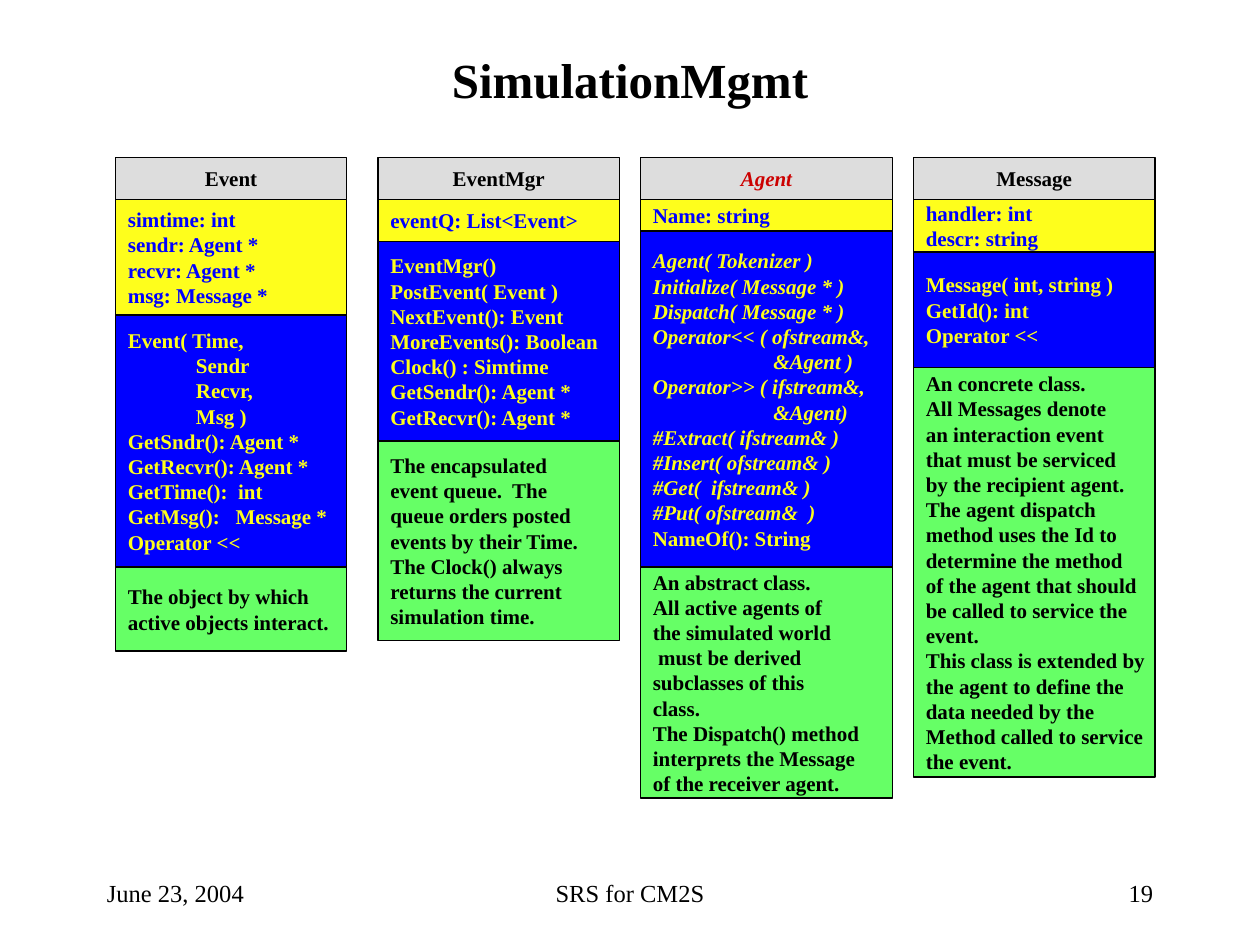
from copy import deepcopy
from dataclasses import dataclass

from pptx import Presentation
from pptx.dml.color import RGBColor as Rgb
from pptx.enum.shapes import MSO_SHAPE as Kind
from pptx.enum.text import MSO_ANCHOR as Anchor, PP_ALIGN as Align
from pptx.oxml.ns import qn
from pptx.util import Cm, Pt


@dataclass(frozen=True)
class Theme:
    font: str = "Times New Roman"
    black: str = "000000"
    grey: str = "DDDDDD"
    yellow: str = "FEFE1C"
    blue: str = "0000FF"
    green: str = "66FF66"
    red: str = "CC0000"
    title: int = 28
    body: int = 12
    foot: int = 14
    line: float = 0.75


@dataclass(frozen=True)
class Part:
    """One band of a class; the first `slant` paragraphs are italic."""
    height: int
    text: tuple[str, ...]
    slant: int = 0


@dataclass(frozen=True)
class Card:
    left: int
    width: int
    name: str
    data: Part
    calls: Part
    note: Part
    abstract: bool = False


THEME = Theme()
TOP, HEAD = 15, 4  # grid units

CARDS = (
    Card(
        11, 22, "Event",
        Part(11, ("simtime: int", "sendr: Agent *", "recvr: Agent *", "msg: Message *")),
        Part(24, (
            "Event( Time, \n             Sendr\n             Recvr,\n             Msg )",
            "GetSndr(): Agent *", "GetRecvr(): Agent *", "GetTime():  int",
            "GetMsg():   Message *", "Operator <<")),
        Part(8, ("The object by which\nactive objects interact.",)),
    ),
    Card(
        36, 23, "EventMgr",
        Part(4, ("eventQ: List<Event>",)),
        Part(19, (
            "EventMgr()", "PostEvent( Event )", "NextEvent(): Event",
            "MoreEvents(): Boolean", "Clock() : Simtime",
            "GetSendr(): Agent *", "GetRecvr(): Agent *")),
        Part(19, (
            "The encapsulated\nevent queue.  The\nqueue orders posted\nevents by their Time.",
            "The Clock() always\nreturns the current\nsimulation time.")),
    ),
    Card(
        61, 24, "Agent",
        Part(3, ("Name: string",)),
        Part(32, (
            "Agent( Tokenizer )\nInitialize( Message * )", "Dispatch( Message * )",
            "Operator<< ( ofstream&,\n                       &Agent )",
            "Operator>> ( ifstream&,\n                       &Agent)",
            "#Extract( ifstream& )\n#Insert( ofstream& )", "#Get(  ifstream& )",
            "#Put( ofstream&  )", "NameOf(): String"), slant=7),
        Part(22, (
            "An abstract class.",
            "All active agents of\nthe simulated world\n must be derived\n"
            "subclasses of this\nclass.\nThe Dispatch() method\n"
            "interprets the Message\nof the receiver agent.")),
        abstract=True,
    ),
    Card(
        87, 23, "Message",
        Part(5, ("handler: int", "descr: string")),
        Part(11, ("Message( int, string )", "GetId(): int", "Operator <<")),
        Part(39, (
            "An concrete class.",
            "All Messages denote\nan interaction event\nthat must be serviced\n"
            "by the recipient agent.\nThe agent dispatch\nmethod uses the Id to\n"
            "determine the method\nof the agent that should\nbe called to service the\n"
            "event.\nThis class is extended by\nthe agent to define the\n"
            "data needed by the",
            "Method called to service\nthe event.")),
    ),
)


def grid(*units: int) -> list[Cm]:
    """Lengths on a grid of twelve units to 2.54 cm."""
    return [Cm(n * 2.54 / 12) for n in units]


def write(shape, text: tuple[str, ...], *, size: int = THEME.body,
          color: str = THEME.black, bold: bool = True, slant: int = 0,
          align: Align = Align.LEFT, wrap: bool = False) -> None:
    frame = shape.text_frame
    frame.word_wrap = wrap
    frame.vertical_anchor = Anchor.MIDDLE
    for i, words in enumerate(text):
        para = frame.paragraphs[0] if i == 0 else frame.add_paragraph()
        para.text = words
        para.alignment = align
        for run in para.runs:
            font = run.font
            font.name, font.size, font.bold = THEME.font, Pt(size), bold
            font.italic = i < slant
            font.color.rgb = Rgb.from_string(color)
        # Line breaks take the format of the text around them
        for gap in para._p.findall(qn("a:br")):
            gap.insert(0, deepcopy(para.runs[0]._r.find(qn("a:rPr"))))


def label(slide, place: tuple[int, ...], text: str, **style) -> None:
    box = slide.shapes.add_textbox(*grid(*place))
    write(box, (text,), wrap=True, **style)


def band(slide, place: tuple[int, ...], fill: str, part: Part, **style) -> None:
    box = slide.shapes.add_shape(Kind.RECTANGLE, *grid(*place))
    box.shadow.inherit = False
    box.fill.solid()
    box.fill.fore_color.rgb = Rgb.from_string(fill)
    box.line.color.rgb = Rgb.from_string(THEME.black)
    box.line.width = Pt(THEME.line)
    write(box, part.text, slant=part.slant, **style)


def draw(slide, card: Card) -> None:
    head = Part(HEAD, (card.name,), slant=int(card.abstract))
    tint = THEME.red if card.abstract else THEME.black
    rows = (
        (head, THEME.grey, tint, Align.CENTER),
        (card.data, THEME.yellow, THEME.blue, Align.LEFT),
        (card.calls, THEME.blue, THEME.yellow, Align.LEFT),
        (card.note, THEME.green, THEME.black, Align.LEFT),
    )
    top = TOP
    for part, fill, color, align in rows:
        place = (card.left, top, card.width, part.height)
        band(slide, place, fill, part, color=color, align=align)
        top += part.height


def main() -> None:
    deck = Presentation()
    deck.slide_width, deck.slide_height = Cm(25.4), Cm(19.05)
    slide = deck.slides.add_slide(deck.slide_layouts[6])

    # Title
    label(slide, (9, 4, 102, 7), "SimulationMgmt", size=THEME.title, align=Align.CENTER)

    # Classes
    for card in CARDS:
        draw(slide, card)

    # Footer
    for left, width, text, align in (
        (9, 25, "June 23, 2004", Align.LEFT),
        (41, 38, "SRS for CM2S", Align.CENTER),
        (86, 25, "19", Align.RIGHT),
    ):
        label(slide, (left, 82, width, 6), text, size=THEME.foot, bold=False, align=align)

    deck.save("out.pptx")


if __name__ == "__main__":
    main()
